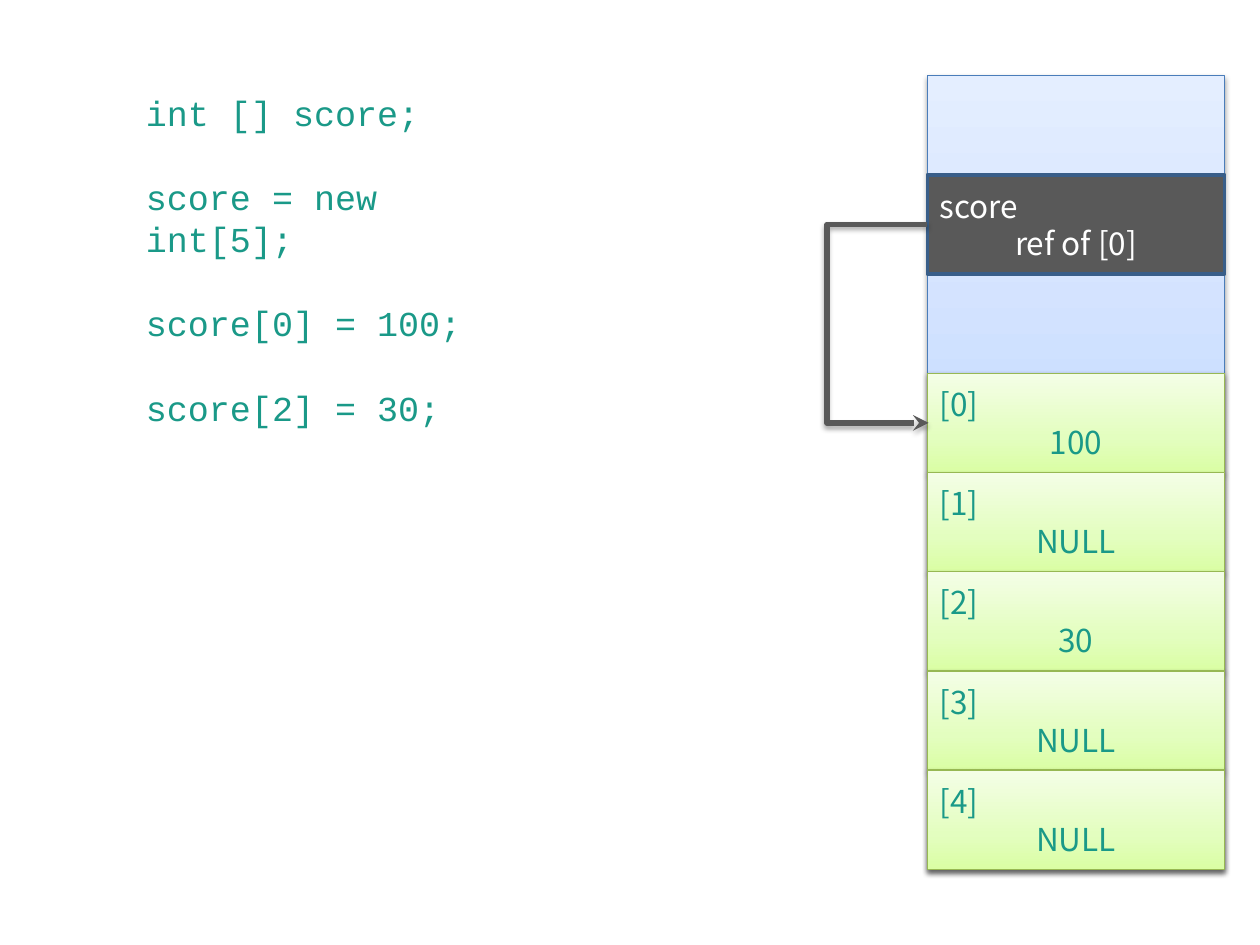
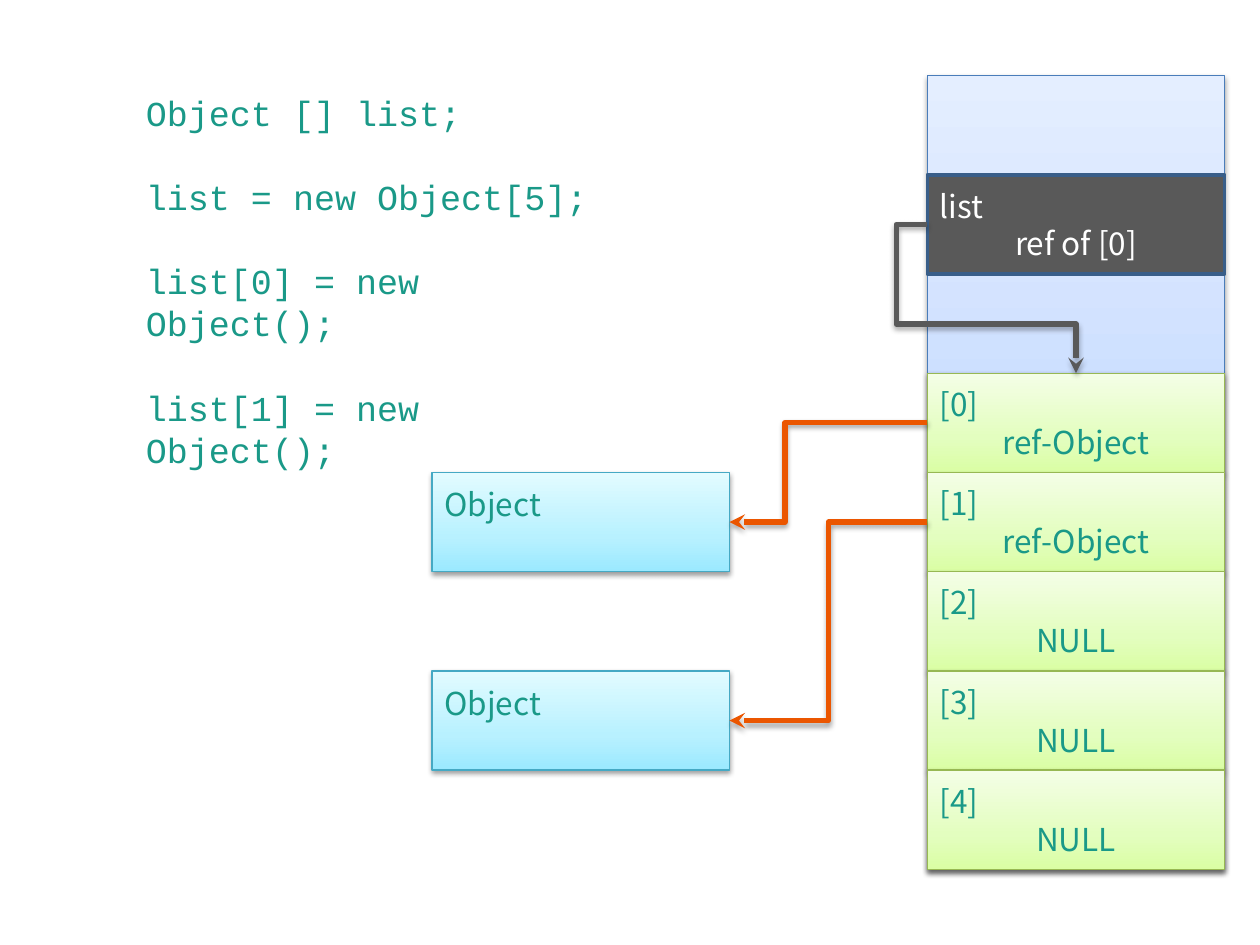
"""Build two slides that show how arrays sit in memory."""
from copy import deepcopy
from dataclasses import dataclass

from lxml.etree import SubElement
from pptx import Presentation
from pptx.dml.color import RGBColor
from pptx.enum.shapes import MSO_CONNECTOR, MSO_SHAPE
from pptx.enum.text import MSO_ANCHOR, PP_ALIGN
from pptx.oxml.ns import qn
from pptx.util import Inches, Pt

HUES = {
    "teal": "1A9988", "white": "FFFFFF", "dark": "595959", "edge": "395E89",
    "orange": "EB5600", "black": "000000", "blue": "4A7DBA",
    "green": "97B853", "cyan": "45A9C4",
}
FADES = {
    "blue": ("9FC3FF", "BDD5FF", "E4EEFF"),
    "green": ("DAFEA4", "E3FEBF", "F4FEE6"),
    "cyan": ("9BE9FF", "B8F1FF", "E2FBFF"),
}
STOPS = (0, 35, 100)
CODE, SANS = "Courier New", "Noto Sans CJK KR"
LEFT, TOP, WIDE = Inches(7.36), Inches(0.6), Inches(2.36)
ROW = Inches(6.3) // 8
TOPSIDE, LEFTSIDE, RIGHTSIDE = 0, 1, 3


@dataclass
class Link:
    """An elbow arrow from one cell's side to another's."""
    start: str
    exit: int
    goal: str
    entry: int
    hue: str
    bends: tuple


@dataclass
class Page:
    """The content of one slide."""
    code: list
    width: float
    name: str
    vals: list
    items: dict
    links: list


PAGES = [
    Page(["int [] score;", "score = new int[5];", "score[0] = 100;", "score[2] = 30;"],
         3.15, "score", ["100", "NULL", "30", "NULL", "NULL"], {},
         [Link("name", LEFTSIDE, "[0]", LEFTSIDE, "dark", (-81,))]),
    Page(["Object [] list;", "list = new Object[5];",
          "list[0] = new Object();", "list[1] = new Object();"],
         3.94, "list", ["ref-Object", "ref-Object", "NULL", "NULL", "NULL"],
         {"first": 4, "second": 6},
         [Link("name", LEFTSIDE, "[0]", TOPSIDE, "dark", (-0.21, 0.67)),
          Link("[0]", LEFTSIDE, "first", RIGHTSIDE, "orange", (0.72,)),
          Link("[1]", LEFTSIDE, "second", RIGHTSIDE, "orange", (0.5,))]),
]


def tint(hue: str) -> RGBColor:
    """Return a named colour."""
    return RGBColor.from_string(HUES[hue])


def write(frame, text: list, *, font: str = SANS, size: int = 18, hue: str = "teal",
          gap: int = 0, mid: bool = True, aligns: tuple = (PP_ALIGN.LEFT, PP_ALIGN.CENTER)) -> None:
    """Put lines of text into a frame, one paragraph each."""
    frame.word_wrap = True
    frame.vertical_anchor = MSO_ANCHOR.MIDDLE if mid else MSO_ANCHOR.TOP
    for num, line in enumerate(text):
        para = frame.add_paragraph() if num else frame.paragraphs[0]
        para.alignment = aligns[num % len(aligns)]
        para.space_before = Pt(gap if num else 0)
        run = para.add_run()
        run.text = line
        run.font.name, run.font.size = font, Pt(size)
        run.font.color.rgb = tint(hue)


def shade(props, alpha: int, drop: float) -> None:
    """Give shape properties a soft shadow straight below."""
    root = props.find(qn("a:effectLst"))
    if root is None:
        root = SubElement(props, qn("a:effectLst"))
    cast = SubElement(root, qn("a:outerShdw"), blurRad=str(Pt(3.1)), dist=str(Pt(drop)),
                      dir="5400000", rotWithShape="0")
    tone = SubElement(cast, qn("a:srgbClr"), val=HUES["black"])
    SubElement(tone, qn("a:alpha"), val=str(alpha * 1000))


def fade(box, hue: str) -> None:
    """Fill a shape with a three-stop gradient from bottom to top."""
    box.fill.gradient()
    box.fill.gradient_angle = 90
    stops = box._element.spPr.find(qn("a:gradFill")).find(qn("a:gsLst"))
    stops.append(deepcopy(stops[-1]))
    for stop, place, tone in zip(stops, STOPS, FADES[hue]):
        stop.set("pos", str(place * 1000))
        for child in list(stop):
            stop.remove(child)
        SubElement(stop, qn("a:srgbClr"), val=tone)


def block(slide, left: int, row: int, hue: str, span: int = 1):
    """Draw a box that starts on a memory row."""
    box = slide.shapes.add_shape(MSO_SHAPE.RECTANGLE, left, TOP + row * ROW, WIDE, span * ROW)
    box.shadow.inherit = False
    if hue in FADES:
        fade(box, hue)
        shade(box._element.spPr, 38, 1.6)
        edge, width = hue, 0.75
    else:
        box.fill.solid()
        box.fill.fore_color.rgb = tint(hue)
        edge, width = "edge", 2
    box.line.color.rgb, box.line.width = tint(edge), Pt(width)
    return box


def site(box, side: int) -> tuple[int, int]:
    """Return the middle of a box's side."""
    mid, half = box.left + box.width // 2, box.top + box.height // 2
    return {TOPSIDE: (mid, box.top), LEFTSIDE: (box.left, half),
            RIGHTSIDE: (box.left + box.width, half)}[side]


def join(slide, cells: dict, link: Link) -> None:
    """Draw an elbow arrow between two cells."""
    start, goal = cells[link.start], cells[link.goal]
    line = slide.shapes.add_connector(MSO_CONNECTOR.ELBOW, *site(start, link.exit),
                                      *site(goal, link.entry))
    line.begin_connect(start, link.exit)
    line.end_connect(goal, link.entry)
    line.width = max(line.width, Inches(0.01))
    line.line.color.rgb, line.line.width = tint(link.hue), Pt(3)
    props = line._element.spPr
    SubElement(props.find(qn("a:ln")), qn("a:tailEnd"), type="stealth")
    shade(props, 35, 1.8)
    geom = props.find(qn("a:prstGeom"))
    geom.set("prst", f"bentConnector{len(link.bends) + 2}")
    guides = geom.find(qn("a:avLst"))
    if guides is None:
        guides = SubElement(geom, qn("a:avLst"))
    for num, bend in enumerate(link.bends, 1):
        SubElement(guides, qn("a:gd"), name=f"adj{num}", fmla=f"val {round(bend * 100000)}")


def draw(slide, page: Page) -> None:
    """Draw the code, the memory column and the arrows of a page."""
    block(slide, LEFT, 0, "blue", 8)
    area = slide.shapes.add_textbox(Inches(1.06), Inches(0.68), Inches(page.width), Inches(2.79))
    write(area.text_frame, page.code, font=CODE, size=20, gap=24, mid=False,
          aligns=(PP_ALIGN.LEFT,))
    cells = {"name": block(slide, LEFT, 1, "dark")}
    write(cells["name"].text_frame, [page.name, "ref of [0]"], hue="white")
    for num, val in enumerate(page.vals):
        key = f"[{num}]"
        cells[key] = block(slide, LEFT, num + 3, "green")
        write(cells[key].text_frame, [key, val])
    for key, row in page.items.items():
        cells[key] = block(slide, Inches(3.43), row, "cyan")
        cells[key].text_frame.margin_top = Inches(0.1)
        write(cells[key].text_frame, ["Object"], mid=False)
    for link in page.links:
        join(slide, cells, link)


def main() -> None:
    """Build and save the deck."""
    deck = Presentation()
    deck.slide_width, deck.slide_height = Inches(10), Inches(7.5)
    for page in PAGES:
        draw(deck.slides.add_slide(deck.slide_layouts[6]), page)
    deck.save("out.pptx")


if __name__ == "__main__":
    main()
